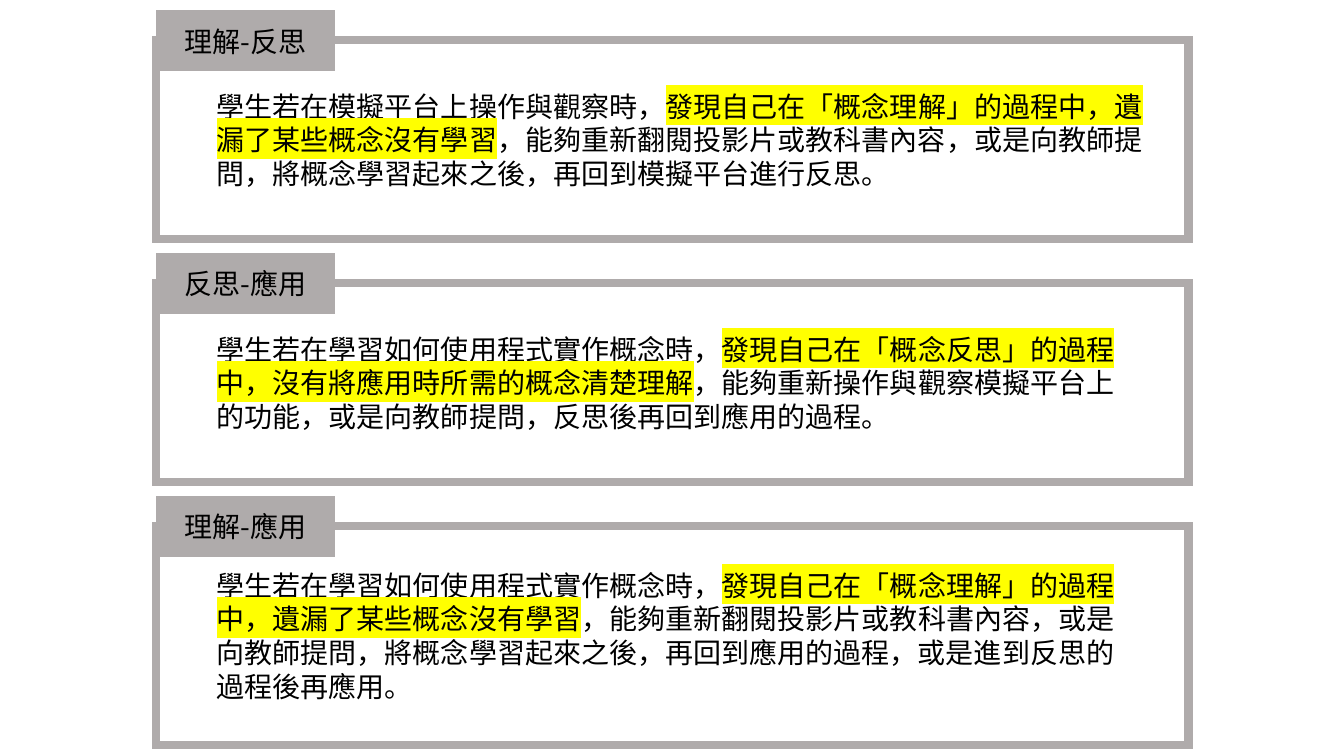
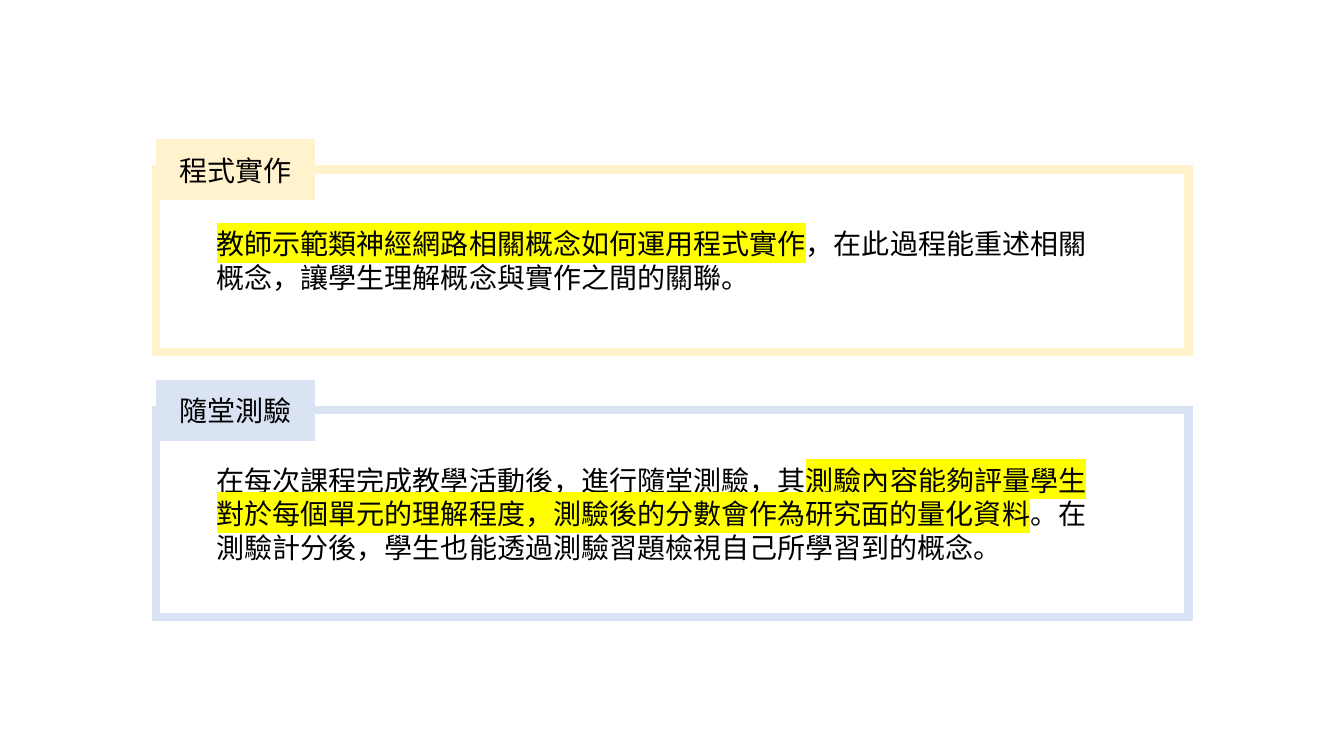
from dataclasses import dataclass

from lxml.etree import SubElement
from pptx import Presentation
from pptx.dml.color import RGBColor
from pptx.enum.shapes import MSO_SHAPE as Preset
from pptx.enum.text import MSO_ANCHOR as Anchor, PP_ALIGN as Align
from pptx.oxml.ns import qn
from pptx.util import Inches, Pt

FONT = "Noto Sans CJK SC"
BLACK = RGBColor(0x00, 0x00, 0x00)
WHITE = RGBColor(0xFF, 0xFF, 0xFF)
GRAY = RGBColor(0xAF, 0xAB, 0xAB)
CREAM = RGBColor(0xFF, 0xF2, 0xCC)
PALE_BLUE = RGBColor(0xDA, 0xE3, 0xF3)
YELLOW = RGBColor(0xFF, 0xFF, 0x00)

PANEL_LEFT = 1.55
FRAME_WIDTH = 10.24
LABEL_HEIGHT = 0.59
LABEL_RISE = 0.29
BODY_INDENT = 0.5


@dataclass(frozen=True)
class Panel:
    label: str
    top: float
    height: float
    color: RGBColor
    label_width: float
    before: str
    key_point: str
    after: str


TRANSITIONS = (
    Panel("理解-反思", 0.4, 1.97, GRAY, 1.77,
          "學生若在模擬平台上操作與觀察時，",
          "發現自己在「概念理解」的過程中，遺\n漏了某些概念沒有學習",
          "，能夠重新翻閱投影片或教科書內容，或是向教師提\n"
          "問，將概念學習起來之後，再回到模擬平台進行反思。"),
    Panel("反思-應用", 2.81, 1.97, GRAY, 1.77,
          "學生若在學習如何使用程式實作概念時，",
          "發現自己在「概念反思」的過程\n中，沒有將應用時所需的概念清楚理解",
          "，能夠重新操作與觀察模擬平台上\n"
          "的功能，或是向教師提問，反思後再回到應用的過程。"),
    Panel("理解-應用", 5.22, 2.17, GRAY, 1.77,
          "學生若在學習如何使用程式實作概念時，",
          "發現自己在「概念理解」的過程\n中，遺漏了某些概念沒有學習",
          "，能夠重新翻閱投影片或教科書內容，或是\n"
          "向教師提問，將概念學習起來之後，再回到應用的過程，或是進到反思的\n"
          "過程後再應用。"),
)

ACTIVITIES = (
    Panel("隨堂測驗", 4.07, 2.05, PALE_BLUE, 1.57,
          "在每次課程完成教學活動後，進行隨堂測驗，其",
          "測驗內容能夠評量學生\n對於每個單元的理解程度，測驗後的分數會作為研究面的量化資料",
          "。在\n測驗計分後，學生也能透過測驗習題檢視自己所學習到的概念。"),
    Panel("程式實作", 1.68, 1.81, CREAM, 1.57,
          "",
          "教師示範類神經網路相關概念如何運用程式實作",
          "，在此過程能重述相關\n概念，讓學生理解概念與實作之間的關聯。"),
)


def add_run(paragraph, text: str, *, size: float = 20, color: RGBColor = BLACK,
            highlight: RGBColor | None = None) -> None:
    run = paragraph.add_run()
    run.text = text
    run.font.size = Pt(size)
    run.font.color.rgb = color
    properties = run.font._element
    if highlight is not None:
        marker = SubElement(properties, qn("a:highlight"))
        SubElement(marker, qn("a:srgbClr")).set("val", str(highlight))
    run.font.name = FONT
    SubElement(properties, qn("a:ea")).set("typeface", FONT)


def start_paragraph(paragraph, align: Align, indent: float) -> None:
    paragraph.alignment = align
    if indent:
        paragraph.level = 1
        properties = paragraph._p.get_or_add_pPr()
        properties.set("marL", str(Inches(indent)))
        properties.set("indent", "0")


def write_text(shape, *parts: tuple[str, RGBColor | None],
               align: Align = Align.LEFT, indent: float = 0) -> None:
    frame = shape.text_frame
    frame.word_wrap = True
    frame.vertical_anchor = Anchor.MIDDLE
    paragraph = frame.paragraphs[0]
    start_paragraph(paragraph, align, indent)
    for text, highlight in parts:
        for number, line in enumerate(text.split("\n")):
            if number:
                paragraph = frame.add_paragraph()
                start_paragraph(paragraph, align, indent)
            if line:
                add_run(paragraph, line, highlight=highlight)


def add_box(shapes, top: float, width: float, height: float, *,
            fill: RGBColor, line: RGBColor, weight: float):
    box = shapes.add_shape(Preset.RECTANGLE, Inches(PANEL_LEFT), Inches(top),
                           Inches(width), Inches(height))
    box.shadow.inherit = False
    box.fill.solid()
    box.fill.fore_color.rgb = fill
    box.line.color.rgb = line
    box.line.width = Pt(weight)
    outline = box._element.spPr.find(qn("a:ln"))
    SubElement(outline, qn("a:miter")).set("lim", "800000")
    return box


def add_panel(slide, panel: Panel) -> None:
    shapes = slide.shapes.add_group_shape().shapes
    body = add_box(shapes, panel.top, FRAME_WIDTH, panel.height,
                   fill=WHITE, line=panel.color, weight=6)
    write_text(body, (panel.before, None), (panel.key_point, YELLOW),
               (panel.after, None), indent=BODY_INDENT)
    label = add_box(shapes, panel.top - LABEL_RISE, panel.label_width, LABEL_HEIGHT,
                    fill=panel.color, line=panel.color, weight=1)
    write_text(label, (panel.label, None), align=Align.CENTER)


def main() -> None:
    deck = Presentation()
    deck.slide_width = Inches(13.33)
    deck.slide_height = Inches(7.5)
    for panels in (TRANSITIONS, ACTIVITIES):
        slide = deck.slides.add_slide(deck.slide_layouts[6])
        for panel in panels:
            add_panel(slide, panel)
    deck.save("out.pptx")


if __name__ == "__main__":
    main()
